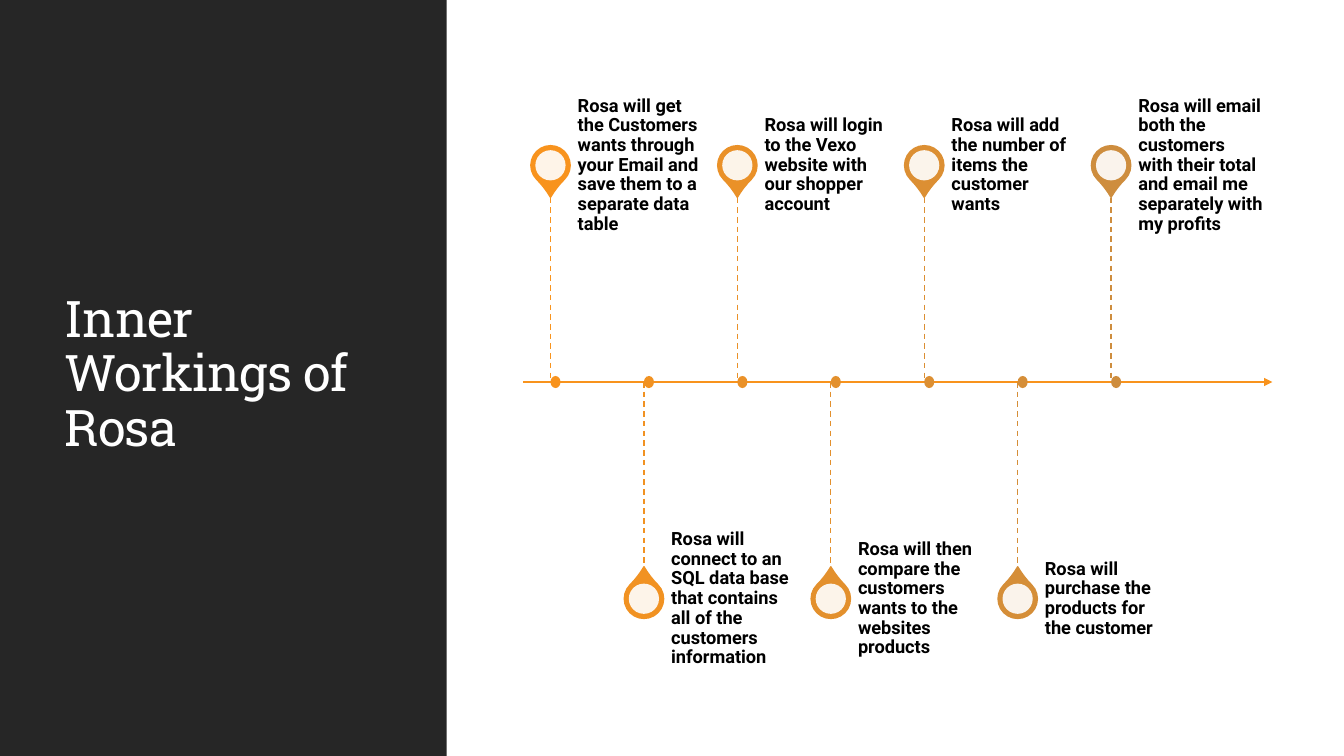
import dataclasses

import pptx
import pptx.dml.color
import pptx.enum.shapes
import pptx.enum.text
import pptx.oxml
import pptx.oxml.ns
import pptx.util
from pptx.util import Inches

SHAPE = pptx.enum.shapes.MSO_SHAPE
ANCHOR = pptx.enum.text.MSO_ANCHOR
NAMESPACE = pptx.oxml.ns.nsdecls("a")


@dataclasses.dataclass(frozen=True)
class Theme:
    panel: str = "262626"
    paper: str = "FFFFFF"
    ink: str = "000000"
    axis: str = "F8931D"
    steps: tuple = ("F8931D", "F19222", "EA9128", "E3902D", "DC8F33", "D58E38", "CE8D3E")
    title_font: str = "Roboto Slab"
    body_font: str = "Roboto"
    title_size: int = 36
    body_size: int = 13


theme = Theme()


def add_filled(kind, left, top, width, height, color):
    """Add a borderless preset shape without a shadow, lengths in inches."""
    shape = slide.shapes.add_shape(kind, Inches(left), Inches(top), Inches(width), Inches(height))
    shape.shadow.inherit = False
    shape.fill.solid()
    shape.fill.fore_color.rgb = pptx.dml.color.RGBColor.from_string(color)
    shape.line.fill.background()
    return shape


def add_line(x1, y1, x2, y2, color, weight, ending):
    """Add a straight line; ending is the XML tag for its dash or arrowhead."""
    line = slide.shapes.add_connector(
        pptx.enum.shapes.MSO_CONNECTOR.STRAIGHT, Inches(x1), Inches(y1), Inches(x2), Inches(y2))
    line.line.color.rgb = pptx.dml.color.RGBColor.from_string(color)
    line.line.width = pptx.util.Pt(weight)
    properties = line.line._get_or_add_ln()
    properties.append(pptx.oxml.parse_xml(f"<a:{ending} {NAMESPACE}/>"))
    properties.getparent().append(pptx.oxml.parse_xml(f"<a:effectLst {NAMESPACE}/>"))


deck = pptx.Presentation()
deck.slide_width = Inches(13.33)
deck.slide_height = Inches(7.5)
slide = deck.slides.add_slide(deck.slide_layouts[5])
slide.background.fill.solid()
slide.background.fill.fore_color.rgb = pptx.dml.color.RGBColor.from_string(theme.paper)

# Title panel
panel = add_filled(SHAPE.RECTANGLE, 0, 0, 4.43, 7.5, theme.panel)
title = slide.shapes.title
panel.element.addnext(title.element)
title.left, title.top = Inches(0.54), Inches(0.57)
title.width, title.height = Inches(3.37), Inches(6.31)
title.text_frame.word_wrap = True
title.text_frame.auto_size = pptx.enum.text.MSO_AUTO_SIZE.NONE
title.text_frame.vertical_anchor = ANCHOR.MIDDLE
para = title.text_frame.paragraphs[0]
para.alignment = pptx.enum.text.PP_ALIGN.LEFT
para.line_spacing = 0.9
span = para.add_run()
span.text = "Inner Workings of Rosa"
span.font.name = theme.title_font
span.font.size = pptx.util.Pt(theme.title_size)
span.font.color.rgb = pptx.dml.color.RGBColor.from_string(theme.paper)
span._r.get_or_add_rPr().set("spc", "-50")

# Timeline: steps alternate above and below the axis
axis_y = 3.79
first_x, last_x = 5.46, 11.02
pin_size, hole_size = 0.39, 0.3
steps = [
    "Rosa will get the Customers wants through your Email and save them to a separate data table",
    "Rosa will connect to an SQL data base that contains all of the customers information",
    "Rosa will login to the Vexo website with our shopper account",
    "Rosa will then compare the customers wants to the websites products",
    "Rosa will add the number of items the customer wants",
    "Rosa will purchase the products for the customer",
    "Rosa will email both the customers with their total and email me separately with my profits",
]
add_line(5.19, axis_y, 12.62, axis_y, theme.axis, 1.5, 'tailEnd type="triangle"')

for index, (step, color) in enumerate(zip(steps, theme.steps)):
    x = first_x + index * (last_x - first_x) / (len(steps) - 1)
    above = index % 2 == 0
    pin_y = 1.64 if above else 5.94

    pin = add_filled(SHAPE.TEAR, x - pin_size / 2, pin_y - pin_size / 2, pin_size, pin_size, color)
    pin.adjustments[0] = 1.15
    pin.rotation = 135 if above else 315
    pin.line.color.rgb = pptx.dml.color.RGBColor.from_string(color)
    pin.line.width = pptx.util.Pt(1)

    hole = add_filled(SHAPE.OVAL, x - hole_size / 2, pin_y - hole_size / 2,
                      hole_size, hole_size, theme.paper)
    hole_color = hole.element.spPr.find(".//" + pptx.oxml.ns.qn("a:srgbClr"))
    hole_color.append(pptx.oxml.parse_xml(f'<a:alpha {NAMESPACE} val="90000"/>'))

    box = slide.shapes.add_textbox(Inches(x + 0.27), Inches(pin_y - 0.32), Inches(1.32), Inches(0.64))
    frame = box.text_frame
    frame.word_wrap = True
    frame.vertical_anchor = ANCHOR.MIDDLE
    frame.margin_left = frame.margin_top = frame.margin_bottom = 0
    frame.margin_right = Inches(0.09)
    para = frame.paragraphs[0]
    para.line_spacing = 0.9
    span = para.add_run()
    span.text = step
    span.font.name = theme.body_font
    span.font.size = pptx.util.Pt(theme.body_size)
    span.font.bold = True
    span.font.color.rgb = pptx.dml.color.RGBColor.from_string(theme.ink)

    start, end = (1.96, axis_y) if above else (axis_y, 5.62)
    add_line(x, start, x, end, color, 1, 'prstDash val="dash"')
    add_filled(SHAPE.OVAL, x, axis_y - 0.06, 0.1, 0.12, color)

deck.save("out.pptx")
